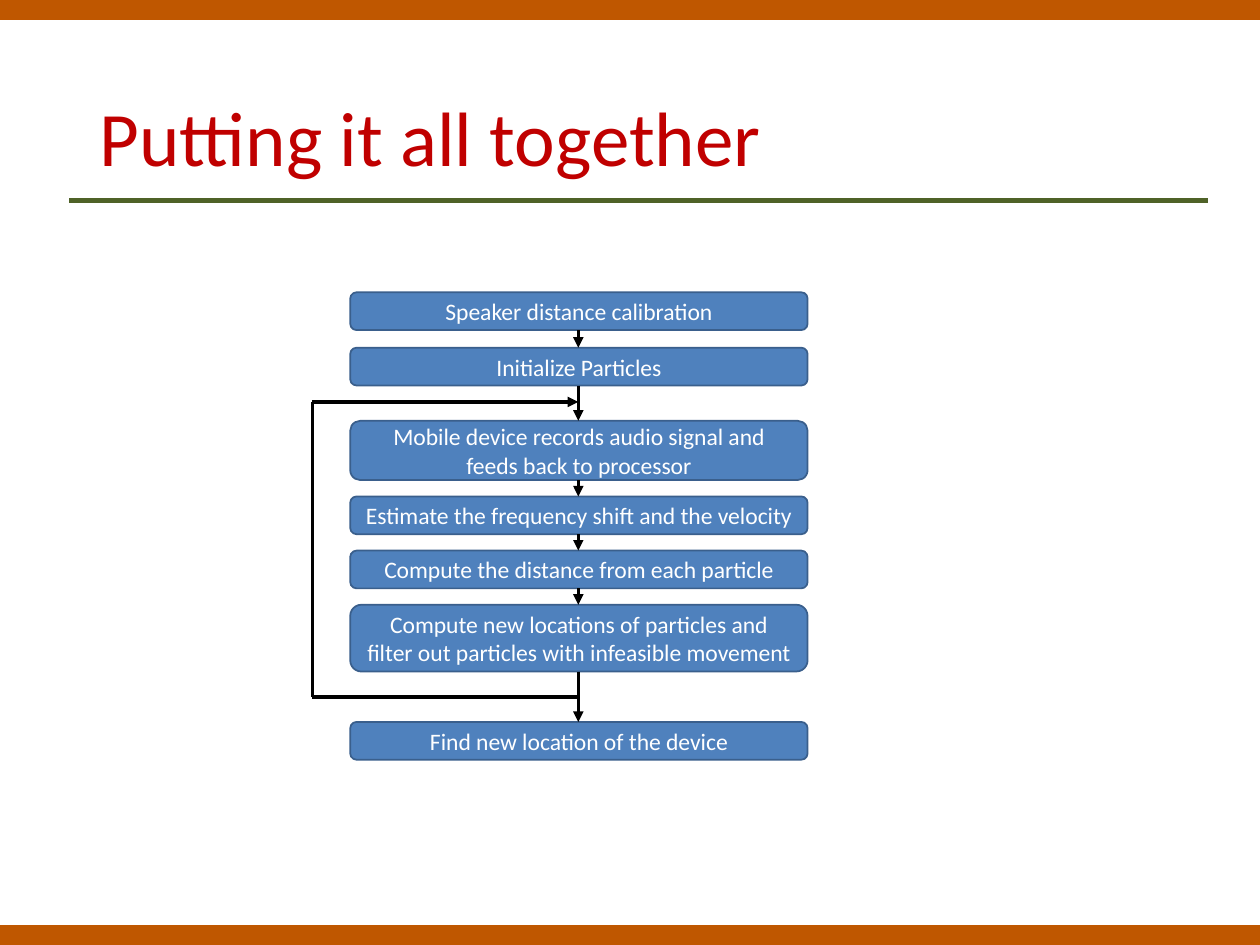
from dataclasses import dataclass
from itertools import pairwise

from pptx import Presentation
from pptx.dml.color import RGBColor
from pptx.enum.shapes import MSO_CONNECTOR, MSO_SHAPE
from pptx.enum.text import MSO_ANCHOR, PP_ALIGN
from pptx.oxml.ns import qn
from pptx.util import Inches, Pt
from lxml.etree import SubElement


@dataclass(frozen=True)
class Theme:
    font: str = "Calibri"
    title_size: float = 44
    step_size: float = 13.5
    title: RGBColor = RGBColor(0xC0, 0x00, 0x00)
    bar: RGBColor = RGBColor(0xBF, 0x57, 0x00)
    rule: RGBColor = RGBColor(0x4F, 0x62, 0x28)
    step_fill: RGBColor = RGBColor(0x4F, 0x81, 0xBD)
    step_line: RGBColor = RGBColor(0x3A, 0x5F, 0x8C)
    step_text: RGBColor = RGBColor(0xFF, 0xFF, 0xFF)
    arrow: RGBColor = RGBColor(0x00, 0x00, 0x00)


theme = Theme()
presentation = Presentation()
presentation.slide_width = Inches(10)
presentation.slide_height = Inches(7.5)
slide = presentation.slides.add_slide(presentation.slide_layouts[5])


def add_box(kind, left, top, width, height, fill, line):
    shape = slide.shapes.add_shape(
        kind, Inches(left), Inches(top), Inches(width), Inches(height)
    )
    shape.shadow.inherit = False
    shape.fill.solid()
    shape.fill.fore_color.rgb = fill
    shape.line.color.rgb = line
    shape.line.width = Pt(1)
    return shape


def add_line(start, end, color=theme.arrow, width=2, arrowhead=False):
    connector = slide.shapes.add_connector(
        MSO_CONNECTOR.STRAIGHT, *map(Inches, (*start, *end))
    )
    connector.line.color.rgb = color
    connector.line.width = Pt(width)
    if arrowhead:
        SubElement(connector.line._get_or_add_ln(), qn("a:tailEnd"), type="triangle")
    SubElement(connector._element.spPr, qn("a:effectLst"))


add_line((0.55, 1.59), (9.59, 1.59), theme.rule, 3)
for bar_top in (0, 7.35):
    add_box(MSO_SHAPE.RECTANGLE, 0, bar_top, 10, 0.15, theme.bar, theme.bar)

title = slide.shapes.title
title.left, title.top = Inches(0.69), Inches(0.4)
title.width, title.height = Inches(8.62), Inches(1.45)
title.text_frame.text = "Putting it all together"
title.text_frame.vertical_anchor = MSO_ANCHOR.MIDDLE
paragraph = title.text_frame.paragraphs[0]
paragraph.alignment = PP_ALIGN.LEFT
paragraph.line_spacing = 0.9
paragraph.font.name = theme.font
paragraph.font.size = Pt(theme.title_size)
paragraph.font.color.rgb = theme.title

steps = [
    ("Speaker distance calibration", 2.32, 0.3),
    ("Initialize Particles", 2.76, 0.3),
    ("Mobile device records audio signal and feeds back to processor", 3.34, 0.47),
    ("Estimate the frequency shift and the velocity", 3.94, 0.3),
    ("Compute the distance from each particle", 4.37, 0.3),
    (
        "Compute new locations of particles and "
        "filter out particles with infeasible movement",
        4.8,
        0.53,
    ),
    ("Find new location of the device", 5.73, 0.3),
]
step_left, step_width = 2.78, 3.63
for text, top, height in steps:
    step = add_box(
        MSO_SHAPE.FLOWCHART_ALTERNATE_PROCESS,
        step_left, top, step_width, height, theme.step_fill, theme.step_line,
    )
    text_frame = step.text_frame
    text_frame.word_wrap = True
    text_frame.vertical_anchor = MSO_ANCHOR.MIDDLE
    text_frame.text = text
    paragraph = text_frame.paragraphs[0]
    paragraph.alignment = PP_ALIGN.CENTER
    paragraph.font.name = theme.font
    paragraph.font.size = Pt(theme.step_size)
    paragraph.font.color.rgb = theme.step_text

center = 4.59
for (_, top, height), (_, next_top, _) in pairwise(steps):
    add_line((center, top + height), (center, next_top), arrowhead=True)

loop_left, loop_top, loop_bottom = 2.48, 3.19, 5.53
add_line((center, loop_bottom), (loop_left, loop_bottom))
add_line((loop_left, loop_bottom), (loop_left, loop_top))
add_line((loop_left, loop_top), (center, loop_top), arrowhead=True)

presentation.save("out.pptx")
